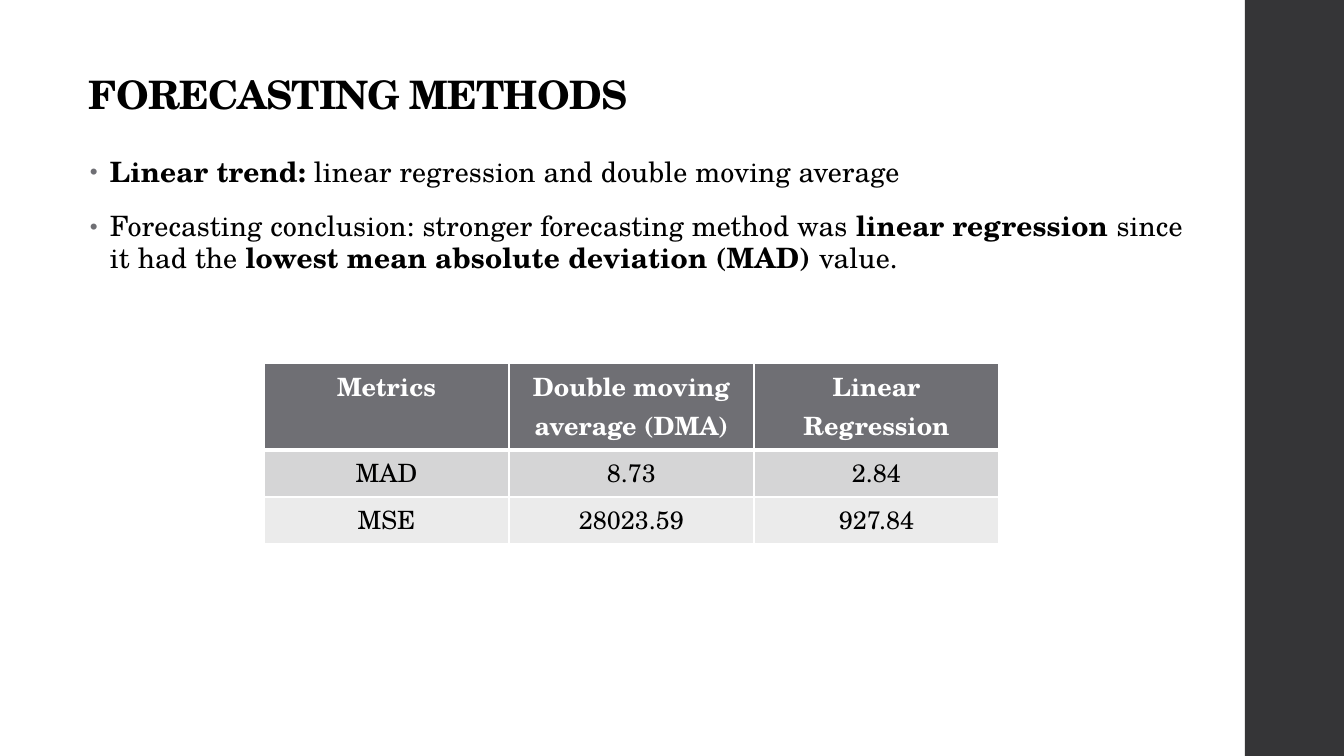
from dataclasses import dataclass

from lxml.etree import SubElement
from pptx import Presentation
from pptx.dml.color import RGBColor
from pptx.enum.shapes import MSO_SHAPE
from pptx.enum.text import MSO_ANCHOR, PP_ALIGN
from pptx.oxml.ns import qn
from pptx.util import Emu, Pt

FONT = "TeX Gyre Schola"
COLORS = {
    "band": "353537",
    "text": "000000",
    "white": "FFFFFF",
    "header": "6F6F74",
    "odd_row": "D5D5D6",
    "even_row": "EBEBEB",
}


@dataclass
class Run:
    text: str
    bold: bool = False


@dataclass
class TableRow:
    texts: list[str]
    height: int
    fill: str
    color: str = "text"
    bold: bool = False
    bottom_border: float = 1


# Non-breaking spaces keep "regression since it" on one line
BULLETS = [
    [Run("Linear trend:", True), Run(" linear regression and double moving average")],
    [
        Run("Forecasting conclusion: stronger forecasting method was "),
        Run("linear regression ", True),
        Run("since it had the "),
        Run("lowest mean absolute deviation (MAD) ", True),
        Run("value."),
    ],
]
ROWS = [
    TableRow(["Metrics", "Double moving average (DMA)", "Linear Regression"],
             87, "header", "white", True, 3),
    TableRow(["MAD", "8.73", "2.84"], 47, "odd_row"),
    TableRow(["MSE", "28023.59", "927.84"], 47, "even_row"),
]


def px(length: int) -> Emu:
    return Emu(round(length * 914400 / 100.8))


def rgb(name: str) -> RGBColor:
    return RGBColor.from_string(COLORS[name])


def write(paragraph, text: str, *, size: int, color: str = "text",
          bold: bool = False, spacing: int = 0) -> None:
    """Add a run; spacing is in hundredths of a point."""
    run = paragraph.add_run()
    run.text = text
    run.font.name = FONT
    run.font.size = Pt(size)
    run.font.bold = bold
    run.font.color.rgb = rgb(color)
    if spacing:
        run.font._element.set("spc", str(spacing))


def add_text_frame(slide, left: int, top: int, width: int, height: int):
    frame = slide.shapes.add_textbox(px(left), px(top), px(width), px(height)).text_frame
    frame.word_wrap = True
    return frame


def add_bullet(paragraph) -> None:
    properties = paragraph._p.get_or_add_pPr()
    properties.set("marL", str(px(20)))
    properties.set("indent", str(-px(20)))
    color = SubElement(properties, qn("a:buClr"))
    SubElement(color, qn("a:srgbClr"), val=COLORS["header"])
    SubElement(properties, qn("a:buSzPct"), val="80000")
    SubElement(properties, qn("a:buFont"), typeface="Arial")
    SubElement(properties, qn("a:buChar"), char="•")


def set_borders(cell, top: float, bottom: float) -> None:
    properties = cell._tc.get_or_add_tcPr()
    widths = {"a:lnL": 1, "a:lnR": 1, "a:lnT": top, "a:lnB": bottom}
    for side, width in widths.items():
        line = SubElement(properties, qn(side), w=str(Pt(width)))
        fill = SubElement(line, qn("a:solidFill"))
        SubElement(fill, qn("a:srgbClr"), val=COLORS["white"])


def add_metrics_table(slide, left: int, top: int, column_width: int) -> None:
    columns = len(ROWS[0].texts)
    table = slide.shapes.add_table(
        len(ROWS), columns, px(left), px(top), px(column_width * columns),
        px(sum(row.height for row in ROWS))).table
    for column in table.columns:
        column.width = px(column_width)
    top_border = 1
    for row_index, row in enumerate(ROWS):
        table.rows[row_index].height = px(row.height)
        for column_index, text in enumerate(row.texts):
            cell = table.cell(row_index, column_index)
            set_borders(cell, top_border, row.bottom_border)
            cell.fill.solid()
            cell.fill.fore_color.rgb = rgb(row.fill)
            cell.margin_top = cell.margin_bottom = px(4)
            paragraph = cell.text_frame.paragraphs[0]
            paragraph.alignment = PP_ALIGN.CENTER
            write(paragraph, text, size=18, color=row.color, bold=row.bold)
        top_border = row.bottom_border


def main() -> None:
    presentation = Presentation()
    presentation.slide_width, presentation.slide_height = px(1344), px(756)
    slide = presentation.slides.add_slide(presentation.slide_layouts[6])

    # Dark band on the right
    band = slide.shapes.add_shape(MSO_SHAPE.RECTANGLE, px(1245), 0, px(99), px(756))
    band.shadow.inherit = False
    band.fill.solid()
    band.fill.fore_color.rgb = rgb("band")
    band.line.fill.background()

    # Title
    title = add_text_frame(slide, 79, 0, 891, 123)
    title.vertical_anchor = MSO_ANCHOR.BOTTOM
    title.paragraphs[0].line_spacing = 0.9
    write(title.paragraphs[0], "FORECASTING METHODS", size=28, bold=True, spacing=-50)

    # Bullets
    body = add_text_frame(slide, 80, 152, 1133, 535)
    for index, runs in enumerate(BULLETS):
        paragraph = body.add_paragraph() if index else body.paragraphs[0]
        add_bullet(paragraph)
        paragraph.line_spacing = 0.95
        paragraph.space_before = Pt(14 if index else 0)
        paragraph.space_after = Pt(2)
        for run in runs:
            write(paragraph, run.text, size=20, bold=run.bold, spacing=10)

    # Metrics table
    add_metrics_table(slide, 264, 363, 245)

    presentation.save("out.pptx")


if __name__ == "__main__":
    main()
